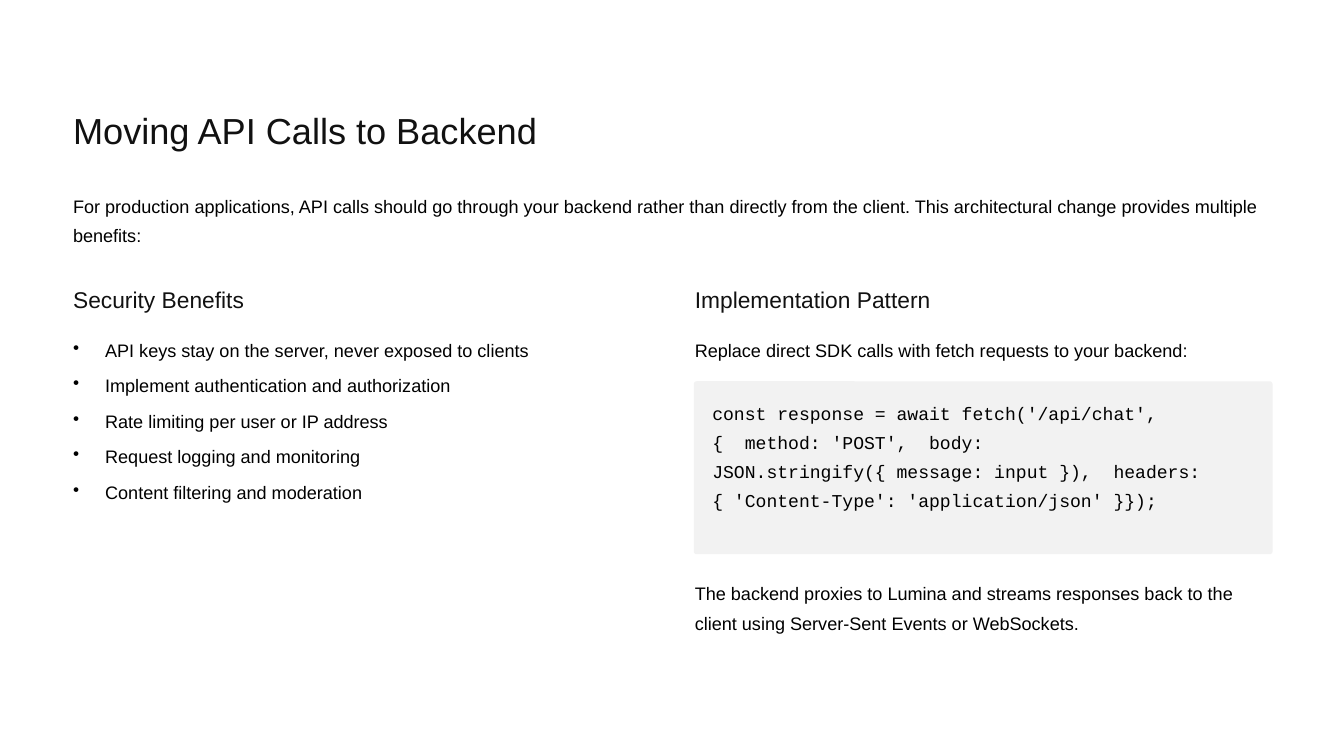
from dataclasses import dataclass

from lxml import etree
from pptx import Presentation
from pptx.dml.color import RGBColor
from pptx.enum.shapes import MSO_SHAPE
from pptx.enum.text import MSO_ANCHOR, MSO_AUTO_SIZE, PP_ALIGN
from pptx.oxml.ns import qn
from pptx.util import Cm, Pt

ROUNDED = MSO_SHAPE.ROUNDED_RECTANGLE
TOP = MSO_ANCHOR.TOP
LEFT = PP_ALIGN.LEFT
NO_AUTOFIT = MSO_AUTO_SIZE.NONE


@dataclass(frozen=True)
class TextStyle:
    size: float
    line: float
    color: RGBColor
    font: str = "Arial"


@dataclass(frozen=True)
class Theme:
    background: RGBColor = RGBColor(0xFF, 0xFF, 0xFF)
    panel: RGBColor = RGBColor(0xF2, 0xF2, 0xF2)
    title: TextStyle = TextStyle(31, 39, RGBColor(0x11, 0x11, 0x11))
    heading: TextStyle = TextStyle(19.5, 24, RGBColor(0x11, 0x11, 0x11))
    body: TextStyle = TextStyle(15.5, 25, RGBColor(0, 0, 0))
    code: TextStyle = TextStyle(15.5, 25, RGBColor(0, 0, 0), "Courier New")


@dataclass(frozen=True)
class Box:
    """A rectangle in centimetres."""
    left: float
    top: float
    width: float
    height: float


@dataclass(frozen=True)
class TextBlock:
    box: Box
    lines: tuple[str, ...]
    style: TextStyle
    bulleted: bool = False


THEME = Theme()
LEFT_COLUMN, RIGHT_COLUMN = 2.21, 21.01
COLUMN_WIDTH, FULL_WIDTH = 17.45, 36.22
HEADING_TOP, CONTENT_TOP = 8.61, 10.03
BULLET_INDENT, BULLET_GAP = 0.97, 5.4

TITLE = "Moving API Calls to Backend"
TITLE_BOX = Box(LEFT_COLUMN, 3.2, FULL_WIDTH, 1.37)
CODE_PANEL = Box(20.98, 11.53, 17.5, 5.23)
PANEL_CORNER = 0.016

BLOCKS = (
    TextBlock(Box(LEFT_COLUMN, 5.69, FULL_WIDTH, 1.75), (
        "For production applications, API calls should go through your backend rather than "
        "directly from the client. This architectural change provides multiple benefits:",
    ), THEME.body),
    TextBlock(Box(LEFT_COLUMN, HEADING_TOP, COLUMN_WIDTH, 0.86),
              ("Security Benefits",), THEME.heading),
    TextBlock(Box(LEFT_COLUMN, CONTENT_TOP, COLUMN_WIDTH, 5.18), (
        "API keys stay on the server, never exposed to clients",
        "Implement authentication and authorization",
        "Rate limiting per user or IP address",
        "Request logging and monitoring",
        "Content filtering and moderation",
    ), THEME.body, bulleted=True),
    TextBlock(Box(RIGHT_COLUMN, HEADING_TOP, COLUMN_WIDTH, 0.86),
              ("Implementation Pattern",), THEME.heading),
    TextBlock(Box(RIGHT_COLUMN, CONTENT_TOP, COLUMN_WIDTH, 0.89),
              ("Replace direct SDK calls with fetch requests to your backend:",), THEME.body),
    TextBlock(Box(21.54, 11.94, 16.38, 4.42), (
        "const response = await fetch('/api/chat', {  method: 'POST',  body: "
        "JSON.stringify({ message: input }),  headers: "
        "{ 'Content-Type': 'application/json' }});",
    ), THEME.code),
    TextBlock(Box(RIGHT_COLUMN, 17.4, COLUMN_WIDTH, 1.75), (
        "The backend proxies to Lumina and streams responses back to the client using "
        "Server-Sent Events or WebSockets.",
    ), THEME.body),
)


def edges(box: Box) -> tuple[Cm, Cm, Cm, Cm]:
    return Cm(box.left), Cm(box.top), Cm(box.width), Cm(box.height)


def add_bullet(paragraph) -> None:
    paragraph.space_after = Pt(BULLET_GAP)
    properties = paragraph._p.get_or_add_pPr()
    properties.set("marL", str(Cm(BULLET_INDENT)))
    properties.set("indent", str(-Cm(BULLET_INDENT)))
    etree.SubElement(properties, qn("a:buChar")).set("char", "•")


def write_text(shape, *lines: str, style: TextStyle, bulleted: bool = False) -> None:
    frame = shape.text_frame
    frame.margin_left = frame.margin_top = frame.margin_right = frame.margin_bottom = 0
    frame.word_wrap = True
    frame.auto_size = NO_AUTOFIT
    frame.vertical_anchor = TOP
    for index, line in enumerate(lines):
        paragraph = frame.add_paragraph() if index else frame.paragraphs[0]
        paragraph.alignment = LEFT
        paragraph.line_spacing = Pt(style.line)
        if bulleted:
            add_bullet(paragraph)
        run = paragraph.add_run()
        run.text = line
        run.font.name = style.font
        run.font.size = Pt(style.size)
        run.font.color.rgb = style.color


def add_title(slide) -> None:
    title = slide.shapes.title
    title.left, title.top, title.width, title.height = edges(TITLE_BOX)
    write_text(title, TITLE, style=THEME.title)


def add_code_panel(slide) -> None:
    panel = slide.shapes.add_shape(ROUNDED, *edges(CODE_PANEL))
    panel.adjustments[0] = PANEL_CORNER
    panel.fill.solid()
    panel.fill.fore_color.rgb = THEME.panel
    panel.line.fill.background()
    panel.shadow.inherit = False


def add_text_block(slide, block: TextBlock) -> None:
    text_box = slide.shapes.add_textbox(*edges(block.box))
    write_text(text_box, *block.lines, style=block.style, bulleted=block.bulleted)


def main() -> None:
    presentation = Presentation()
    presentation.slide_width = Cm(40.64)
    presentation.slide_height = Cm(22.86)
    title_only = presentation.slide_layouts.get_by_name("Title Only")
    slide = presentation.slides.add_slide(title_only)
    slide.background.fill.solid()
    slide.background.fill.fore_color.rgb = THEME.background
    add_title(slide)
    add_code_panel(slide)
    for block in BLOCKS:
        add_text_block(slide, block)
    presentation.save("out.pptx")


if __name__ == "__main__":
    main()
